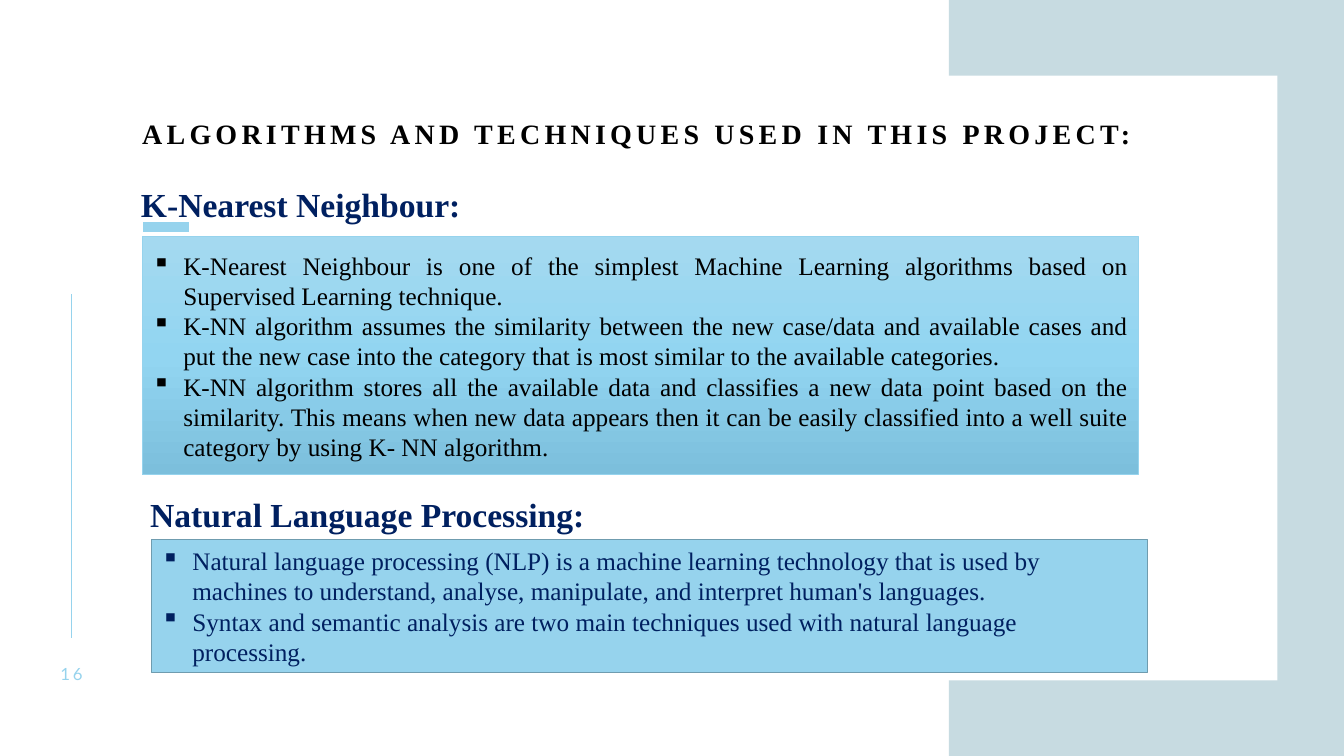
from copy import deepcopy

from lxml.etree import SubElement
from pptx import Presentation
from pptx.dml.color import RGBColor
from pptx.enum.shapes import MSO_CONNECTOR, MSO_SHAPE
from pptx.enum.text import MSO_ANCHOR, PP_ALIGN
from pptx.oxml.ns import qn
from pptx.util import Inches, Pt

SERIF = "Times New Roman"
SKY, NAVY, BLACK, WHITE, MIST = "96D3ED", "002060", "000000", "FFFFFF", "C7DBE1"
BOX_W = 9.88
HEADING = {"size": Pt(24), "name": SERIF, "bold": True}
BODY = {"size": Pt(18), "name": SERIF}

KNN = [
    "K-Nearest Neighbour is one of the simplest Machine Learning algorithms based on "
    "Supervised Learning technique.",
    "K-NN algorithm assumes the similarity between the new case/data and available cases and "
    "put the new case into the category that is most similar to the available categories.",
    "K-NN algorithm stores all the available data and classifies a new data point based on the "
    "similarity. This means when new data appears then it can be easily classified into a well "
    "suite category by using K- NN algorithm.",
]
NLP = [
    "Natural language processing (NLP) is a machine learning technology that is used by "
    "machines to understand, analyse, manipulate, and interpret human's languages.",
    "Syntax and semantic analysis are two main techniques used with natural language processing.",
]


def rgb(color):
    return RGBColor.from_string(color)


def add_run(p, text, color, font, spacing=0):
    r = p.add_run()
    r.text = text
    for name, value in font.items():
        setattr(r.font, name, value)
    r.font.color.rgb = rgb(color)
    if spacing:
        r.font._element.set("spc", str(spacing * 100))


def add_text(s, box, text, color, font, align=PP_ALIGN.LEFT, anchor=MSO_ANCHOR.TOP,
             inset=True, spacing=0, line_spacing=None):
    tf = s.shapes.add_textbox(*map(Inches, box)).text_frame
    tf.word_wrap = True
    tf.vertical_anchor = anchor
    if not inset:
        for side in ("left", "top", "right", "bottom"):
            setattr(tf, f"margin_{side}", 0)
    p = tf.paragraphs[0]
    p.alignment = align
    if line_spacing:
        p.line_spacing = line_spacing
    add_run(p, text, color, font, spacing)


def add_rect(s, box, fill=None, line=None, width=1):
    sp = s.shapes.add_shape(MSO_SHAPE.RECTANGLE, *map(Inches, box))
    sp.shadow.inherit = False
    if fill:
        sp.fill.solid()
        sp.fill.fore_color.rgb = rgb(fill)
    if line:
        sp.line.color.rgb = rgb(line)
        sp.line.width = Pt(width)
    else:
        sp.line.fill.background()
    return sp


def add_line(s, start, end, width):
    line = s.shapes.add_connector(MSO_CONNECTOR.STRAIGHT, *map(Inches, start + end))
    line.line.color.rgb = rgb(SKY)
    line.line.width = Pt(width)
    SubElement(line._element.spPr, qn("a:effectLst"))


def shade(sp, colors):
    """Fill a shape from top to bottom with evenly spaced colours."""
    sp.fill.gradient()
    sp.fill.gradient_angle = 270
    first = sp.fill.gradient_stops[0]._gs
    for _ in colors[2:]:
        first.addnext(deepcopy(first))
    for i, (stop, color) in enumerate(zip(sp.fill.gradient_stops, colors)):
        stop.position = i / (len(colors) - 1)
        stop.color.rgb = rgb(color)


def add_bullets(sp, items, color, align):
    tf = sp.text_frame
    tf.word_wrap = True
    tf.vertical_anchor = MSO_ANCHOR.MIDDLE
    for i, item in enumerate(items):
        p = tf.add_paragraph() if i else tf.paragraphs[0]
        p.alignment = align
        add_run(p, item, color, BODY)
        pPr = p._p.get_or_add_pPr()
        pPr.set("marL", str(Inches(0.31)))
        pPr.set("indent", str(-Inches(0.31)))
        SubElement(pPr, qn("a:buChar"), char="▪")


def add_frame(s, w, h):
    """Pale band on the right, cut into a bracket by a white panel."""
    margin = 0.75
    add_line(s, (0.71, 2.92), (0.71, 6.33), 1)
    add_rect(s, (w - 3.92, 0, 3.92, h), MIST)
    add_rect(s, (4.88, margin, 7.79, h - 2 * margin), WHITE)
    add_line(s, (1.42, 2.25), (1.87, 2.25), 7)
    add_text(s, (0.46, 6.58, 0.5, 0.2), "16", SKY, {"size": Pt(12), "name": "Lato"},
             PP_ALIGN.CENTER, MSO_ANCHOR.MIDDLE, inset=False, spacing=2)


def add_knn(s, x, y):
    add_text(s, (x - 0.11, y, 9.19, 0.5), "K-Nearest Neighbour:", NAVY, HEADING,
             PP_ALIGN.JUSTIFY)
    sp = add_rect(s, (x, y + 0.57, BOX_W, 2.36), line=SKY, width=0.5)
    shade(sp, ["A4D9F0", "92D5F1", "7CBFDC"])
    add_bullets(sp, KNN, BLACK, PP_ALIGN.JUSTIFY)


def add_nlp(s, x, y):
    add_text(s, (x - 0.11, y, 6.42, 0.5), "Natural Language Processing:", NAVY, HEADING)
    sp = add_rect(s, (x, y + 0.5, BOX_W, 1.32), SKY, "6F9CAF")
    add_bullets(sp, NLP, NAVY, PP_ALIGN.LEFT)


def main():
    prs = Presentation()
    w, h = 13.33, 7.5
    prs.slide_width, prs.slide_height = Inches(w), Inches(h)
    s = prs.slides.add_slide(prs.slide_layouts[6])
    add_frame(s, w, h)
    add_text(s, (1.41, 0.99, 10.05, 0.72), "ALGORITHMS AND TECHNIQUES USED IN THIS PROJECT:",
             BLACK, {"size": Pt(20), "name": SERIF, "bold": True},
             inset=False, spacing=3, line_spacing=1.5)
    add_knn(s, 1.41, 1.78)
    add_nlp(s, 1.5, 4.85)
    prs.save("out.pptx")


if __name__ == "__main__":
    main()
